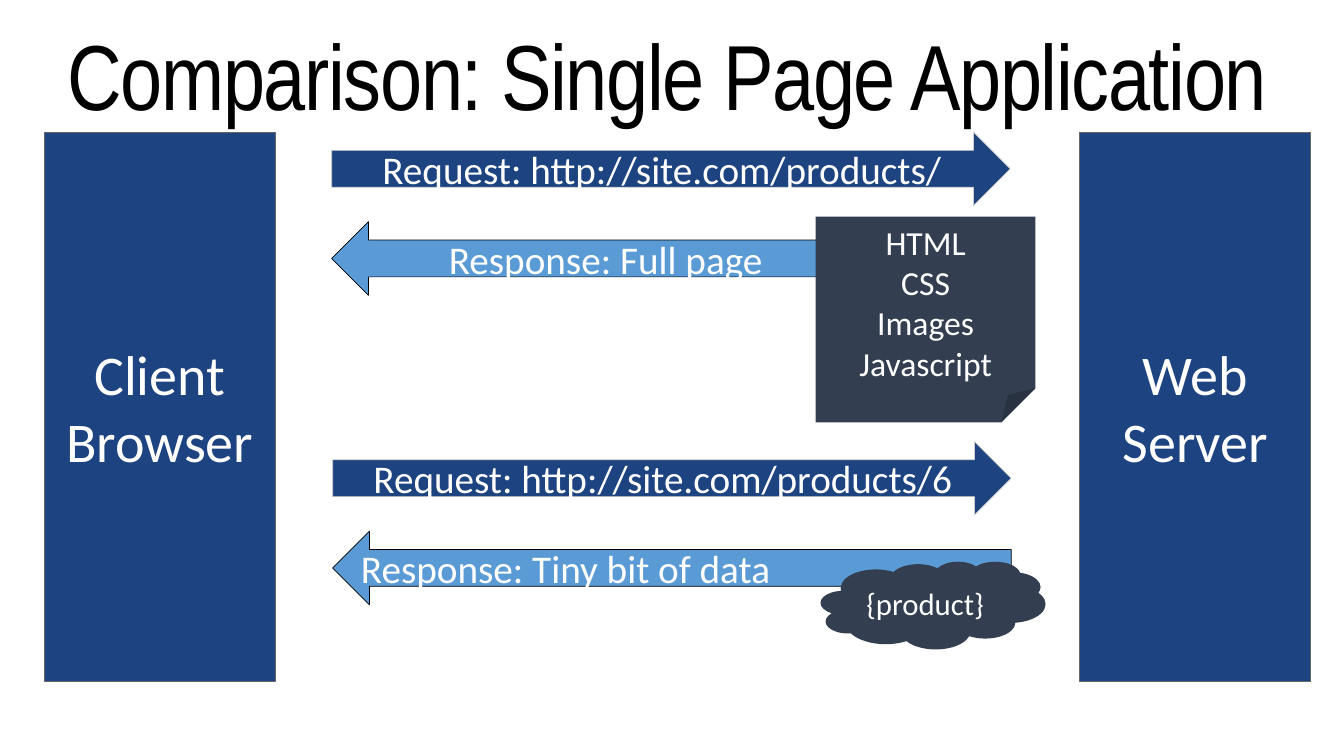
from pptx import Presentation
from pptx.dml.color import RGBColor
from pptx.enum.shapes import MSO_SHAPE as Shape
from pptx.enum.text import MSO_ANCHOR as Anchor, PP_ALIGN as Align
from pptx.util import Inches, Pt

NAVY = RGBColor(0x1D, 0x43, 0x80)
BLUE = RGBColor(0x5B, 0x9B, 0xD5)
SLATE = RGBColor(0x33, 0x3F, 0x50)
GRAY = RGBColor(0x66, 0x66, 0x66)
SILVER = RGBColor(0xCC, 0xCC, 0xCC)
BLACK = RGBColor(0, 0, 0)
WHITE = RGBColor(255, 255, 255)

deck = Presentation()
deck.slide_width, deck.slide_height = Inches(13.33), Inches(7.5)
slide = deck.slides.add_slide(deck.slide_layouts[6])


def add_block(kind, box, text, size, fill, edge=None, align=Align.CENTER):
    """Add a filled shape with white text and return its text frame."""
    block = slide.shapes.add_shape(kind, *map(Inches, box))
    block.shadow.inherit = False
    block.fill.solid()
    block.fill.fore_color.rgb = fill
    if edge is None:
        block.line.fill.background()
    else:
        block.line.color.rgb = edge
        block.line.width = Pt(0.5)
    frame = block.text_frame
    frame.word_wrap = True
    frame.vertical_anchor = Anchor.MIDDLE
    frame.text = text
    for para in frame.paragraphs:
        para.alignment = align
        para.font.name = "Calibri"
        para.font.size = Pt(size)
        para.font.color.rgb = WHITE
    return frame


def add_arrow(kind, left, top, text):
    """Add a request or response arrow and return its text frame."""
    box = (left, top, 6.73, 0.73)
    if kind == Shape.RIGHT_ARROW:
        return add_block(kind, box, text, 28, NAVY, SILVER)
    return add_block(kind, box, text, 28, BLUE, BLACK, Align.LEFT)


# Client and server
for left, name in ((0.44, "Client Browser"), (10.71, "Web\vServer")):
    add_block(Shape.RECTANGLE, (left, 1.31, 2.29, 5.45), name, 40, NAVY, GRAY)

# First exchange: the full page
add_arrow(Shape.RIGHT_ARROW, 3.29, 1.31, "Request: http://site.com/products/")
reply = add_arrow(Shape.LEFT_ARROW, 3.29, 2.2, "Response: Full page")
reply.margin_left = Inches(0.98)
add_block(Shape.FOLDED_CORNER, (8.09, 2.15, 2.18, 2.04),
          "HTML\nCSS\nImages\nJavascript", 24, SLATE)

# Title
title = slide.shapes.add_textbox(*map(Inches, (0.57, 0.25, 12.19, 0.82)))
title.text_frame.word_wrap = True
para = title.text_frame.paragraphs[0]
para.line_spacing = 0.9
para.font.name = "Arial Narrow"
para.font.size = Pt(66)
para.font.color.rgb = BLACK
run = para.add_run()
run.text = "Comparison: Single Page Application"
run._r.get_or_add_rPr().set("spc", "-100")

# Second exchange: only the data
add_arrow(Shape.RIGHT_ARROW, 3.3, 4.38, "Request: http://site.com/products/6")
add_arrow(Shape.LEFT_ARROW, 3.3, 5.27, "Response: Tiny bit of data")
add_block(Shape.CLOUD, (8.14, 5.57, 2.23, 0.87), "{product}", 22, SLATE)

deck.save("out.pptx")
